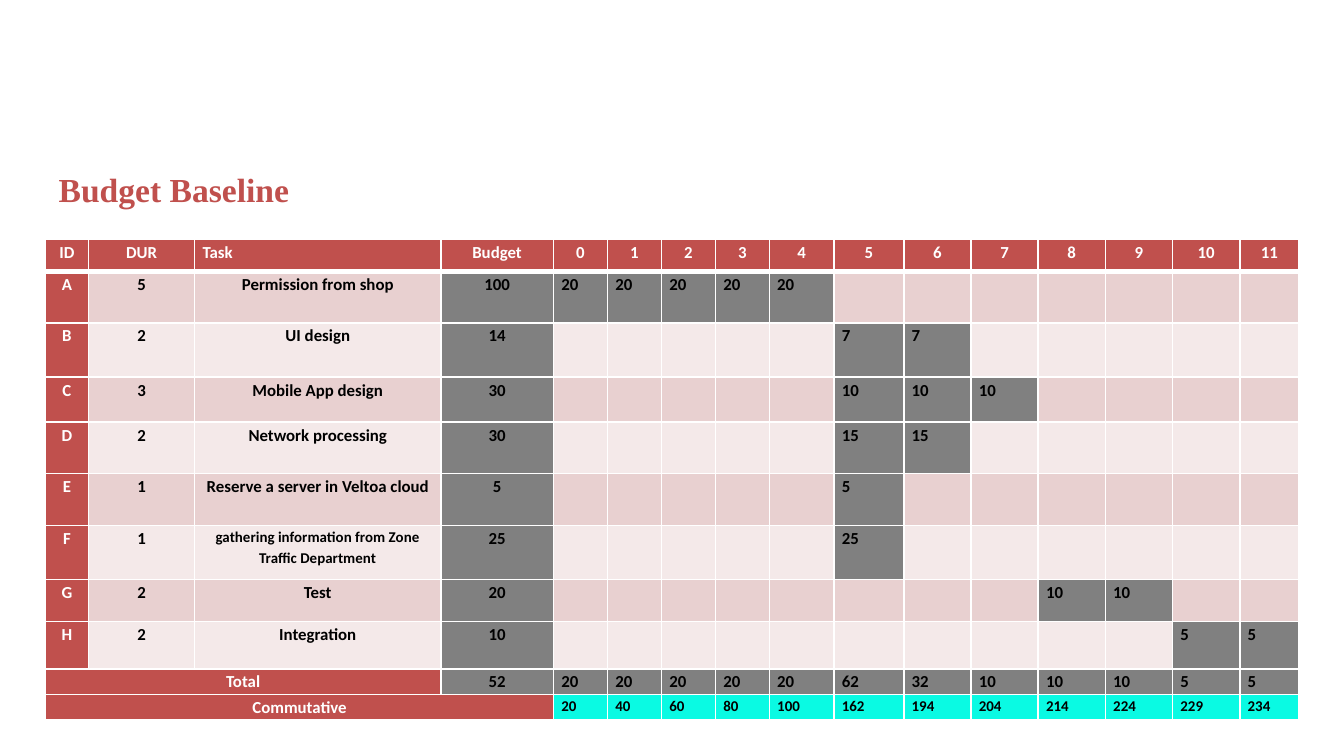
from dataclasses import dataclass
from itertools import accumulate

from lxml import etree
from pptx import Presentation
from pptx.dml.color import RGBColor
from pptx.enum import text
from pptx.oxml import ns
from pptx.util import Cm, Pt

COLORS = {
    "red": "C0504D", "rose": "E8D0D0", "blush": "F4E9E9", "gray": "808080",
    "cyan": "0AFAE3", "white": "FFFFFF", "black": "000000",
}
COLUMN_WIDTHS = [0.81, 2.01, 4.65, 2.13] + [1.02] * 4 + [1.22, 1.32] + [1.27] * 5 + [1.12]
ROW_HEIGHTS = [0.61, 0.97, 1.03, 0.85, 0.97, 0.98, 1.02, 0.8, 0.89, 0.49, 0.48]
WEEKS = 12
FIRST_WEEK = 4  # column of week 0
CENTER, LEFT = text.PP_ALIGN.CENTER, text.PP_ALIGN.LEFT


@dataclass
class Task:
    label: str
    name: str
    duration: int
    budget: int
    start: int
    size: float = 9

    def costs(self) -> list[int]:
        """Budget spread evenly over the weeks of the task."""
        weeks = range(self.start, self.start + self.duration)
        return [self.budget // self.duration if w in weeks else 0 for w in range(WEEKS)]


TASKS = [
    Task("A", "Permission from shop", 5, 100, 0),
    Task("B", "UI design", 2, 14, 5),
    Task("C", "Mobile App design", 3, 30, 5),
    Task("D", "Network processing", 2, 30, 5),
    Task("E", "Reserve a server in Veltoa cloud", 1, 5, 5),
    Task("F", "gathering information from Zone Traffic Department", 1, 25, 5, size=8),
    Task("G", "Test", 2, 20, 8),
    Task("H", "Integration", 2, 10, 10),
]


def add_run(paragraph, words: str, size: float, color: str, face: str) -> None:
    run = paragraph.add_run()
    run.text = words
    run.font.size, run.font.name, run.font.bold = Pt(size), face, True
    run.font.color.rgb = RGBColor.from_string(COLORS[color])


def add_borders(cell, top: float, bottom: float) -> None:
    properties = cell._tc.get_or_add_tcPr()
    for side, width in (("L", 1), ("R", 1), ("T", top), ("B", bottom)):
        line = etree.SubElement(properties, ns.qn(f"a:ln{side}"), w=str(Pt(width)))
        fill = etree.SubElement(line, ns.qn("a:solidFill"))
        etree.SubElement(fill, ns.qn("a:srgbClr"), val=COLORS["white"])


def fill_cell(row: int, column: int, words: str, fill: str, color: str = "black",
              align=CENTER, size: float = 9) -> None:
    cell = budget.cell(row, column)
    cell.fill.solid()
    cell.fill.fore_color.rgb = RGBColor.from_string(COLORS[fill])
    if words:
        paragraph = cell.text_frame.paragraphs[0]
        paragraph.alignment, paragraph.line_spacing = align, 1.15
        add_run(paragraph, words, size, color, "Calibri")


presentation = Presentation()
presentation.slide_width, presentation.slide_height = Cm(25.4), Cm(14.29)
slide = presentation.slides.add_slide(presentation.slide_layouts[6])

# Heading
heading = slide.shapes.add_textbox(Cm(0.86), Cm(2.87), Cm(12.57), Cm(1.3)).text_frame
heading.word_wrap = True
heading.vertical_anchor = text.MSO_ANCHOR.MIDDLE
heading_line = heading.paragraphs[0]
heading_line.line_spacing, heading_line.space_after = 1.15, Pt(10)
add_run(heading_line, "Budget Baseline", 18, "red", "Times New Roman")

# Budget grid
budget = slide.shapes.add_table(
    len(ROW_HEIGHTS), len(COLUMN_WIDTHS), Cm(0.86), Cm(4.52),
    Cm(sum(COLUMN_WIDTHS)), Cm(sum(ROW_HEIGHTS))).table
budget.first_row = budget.horz_banding = False
for column, width in zip(budget.columns, COLUMN_WIDTHS):
    column.width = Cm(width)
for index, (row, height) in enumerate(zip(budget.rows, ROW_HEIGHTS)):
    row.height = Cm(height)
    for cell in row.cells:
        cell.margin_left = cell.margin_right = Cm(0.15)
        cell.margin_top = cell.margin_bottom = 0
        add_borders(cell, top=3 if index == 1 else 1, bottom=3 if index == 0 else 1)
        # Keeps cells without words from stretching their row
        etree.SubElement(cell.text_frame.paragraphs[0]._p, ns.qn("a:endParaRPr"), sz="900")

# Header row
for column, title in enumerate(["ID", "DUR", "Task", "Budget", *map(str, range(WEEKS))]):
    fill_cell(0, column, title, "red", "white", LEFT if title == "Task" else CENTER)

# Task rows
for row, task in enumerate(TASKS, start=1):
    band = "rose" if row % 2 else "blush"
    fill_cell(row, 0, task.label, "red", "white")
    fill_cell(row, 1, str(task.duration), band)
    fill_cell(row, 2, task.name, band, size=task.size)
    fill_cell(row, 3, str(task.budget), "gray")
    for column, cost in enumerate(task.costs(), start=FIRST_WEEK):
        fill_cell(row, column, str(cost or ""), "gray" if cost else band, align=LEFT)

# Summary rows
total_row = len(TASKS) + 1
running_row = total_row + 1
budget.cell(total_row, 0).merge(budget.cell(total_row, 2))
budget.cell(running_row, 0).merge(budget.cell(running_row, 3))
fill_cell(total_row, 0, "Total", "red", "white")
fill_cell(total_row, 3, "52", "gray")
fill_cell(running_row, 0, "Commutative", "red", "white")
totals = [sum(costs) for costs in zip(*(task.costs() for task in TASKS))]
for column, (total, running) in enumerate(zip(totals, accumulate(totals)), start=FIRST_WEEK):
    fill_cell(total_row, column, str(total), "gray", align=LEFT)
    fill_cell(running_row, column, str(running), "cyan", align=LEFT, size=8)

presentation.save("out.pptx")
